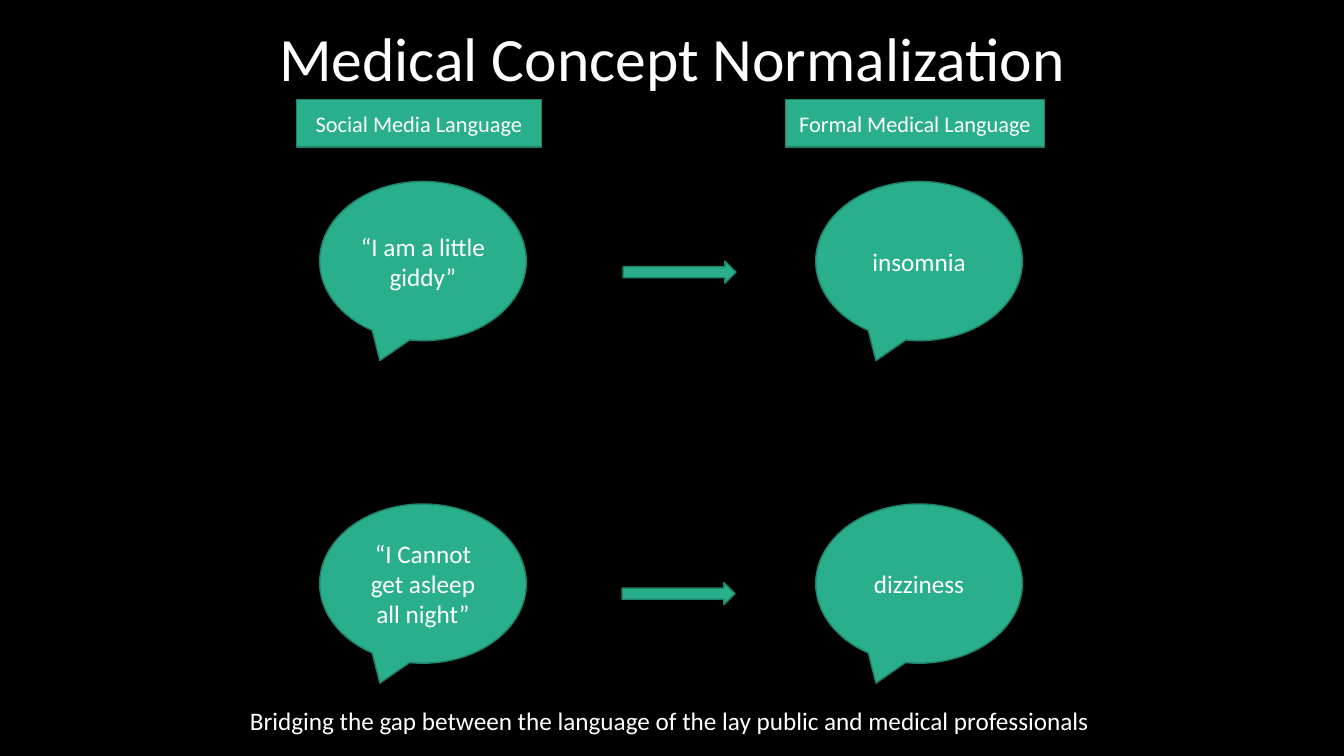
from dataclasses import dataclass

from pptx import Presentation
from pptx.dml.color import RGBColor
from pptx.enum.shapes import MSO_SHAPE as SHAPE
from pptx.enum.text import MSO_ANCHOR as ANCHOR, PP_ALIGN as ALIGN
from pptx.util import Inches, Pt


@dataclass(frozen=True)
class Theme:
    font: str = "Calibri"
    background: str = "000000"
    fill: str = "29AF8C"
    line: str = "1E8168"
    text: str = "FFFFFF"
    title_size: int = 44
    body_size: int = 18
    header_size: int = 16


class SlideBuilder:
    def __init__(self, prs, theme):
        self.theme = theme
        self.s = prs.slides.add_slide(prs.slide_layouts[5])
        bg = self.s.background.fill
        bg.solid()
        bg.fore_color.rgb = RGBColor.from_string(theme.background)

    def set_text(self, tf, text, size, align=ALIGN.CENTER, anchor=ANCHOR.MIDDLE):
        tf.word_wrap = True
        tf.vertical_anchor = anchor
        p = tf.paragraphs[0]
        p.text = text
        p.alignment = align
        p.font.name = self.theme.font
        p.font.size = Pt(size)
        p.font.color.rgb = RGBColor.from_string(self.theme.text)
        return p

    def title(self, text, x, y, w, h):
        sp = self.s.shapes.title
        sp.left, sp.top, sp.width, sp.height = map(Inches, (x, y, w, h))
        p = self.set_text(sp.text_frame, text, self.theme.title_size)
        p.line_spacing = 0.9

    def shape(self, kind, x, y, w, h):
        sp = self.s.shapes.add_shape(kind, *map(Inches, (x, y, w, h)))
        sp.shadow.inherit = False
        sp.fill.solid()
        sp.fill.fore_color.rgb = RGBColor.from_string(self.theme.fill)
        sp.line.color.rgb = RGBColor.from_string(self.theme.line)
        sp.line.width = Pt(1)
        return sp

    def header(self, text, x, w):
        sp = self.shape(SHAPE.RECTANGLE, x, 0.99, w, 0.47)
        self.set_text(sp.text_frame, text, self.theme.header_size)

    def bubble(self, text, x, y):
        sp = self.shape(SHAPE.OVAL_CALLOUT, x, y, 2.05, 1.58)
        self.set_text(sp.text_frame, text, self.theme.body_size)

    def arrow(self, x, y):
        self.shape(SHAPE.RIGHT_ARROW, x, y, 1.12, 0.22)

    def caption(self, text, x, y, w, h):
        sp = self.s.shapes.add_textbox(*map(Inches, (x, y, w, h)))
        self.set_text(sp.text_frame, text, self.theme.body_size, ALIGN.LEFT, ANCHOR.TOP)


def main():
    prs = Presentation()
    prs.slide_width, prs.slide_height = Inches(13.33), Inches(7.5)
    slide = SlideBuilder(prs, Theme())

    rows = [
        (1.8, "“I am a little giddy”", "insomnia", 6.18, 2.59),
        (5, "“I Cannot get asleep all night”", "dizziness", 6.17, 5.78),
    ]
    for y, phrase, concept, arrow_x, arrow_y in rows:
        slide.bubble(phrase, 3.17, y)
        slide.arrow(arrow_x, arrow_y)
        slide.bubble(concept, 8.09, y)

    slide.header("Social Media Language", 2.94, 2.43)
    slide.header("Formal Medical Language", 7.79, 2.57)
    slide.title("Medical Concept Normalization", 0.92, -0.11, 11.5, 1.45)
    slide.caption(
        "Bridging the gap between the language of the lay public and medical professionals",
        2.38, 6.95, 8.56, 0.4,
    )
    prs.save("out.pptx")


if __name__ == "__main__":
    main()
